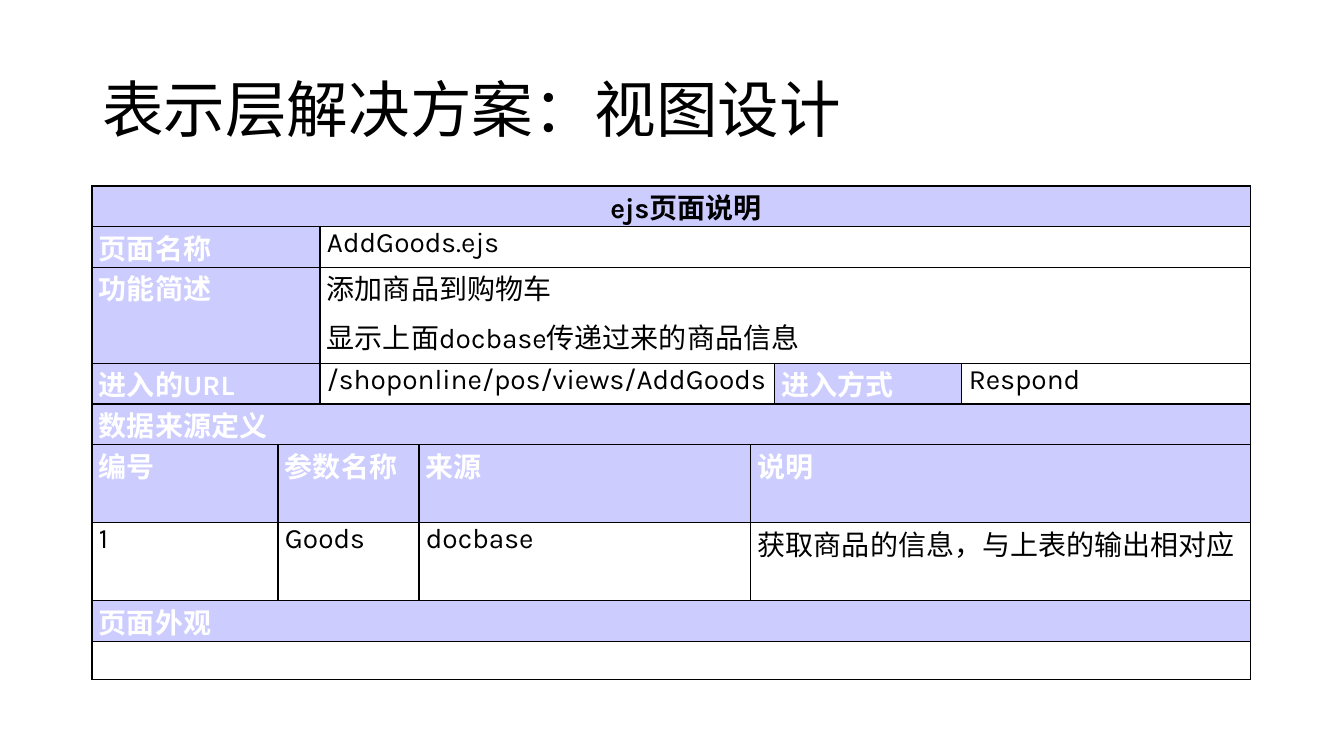
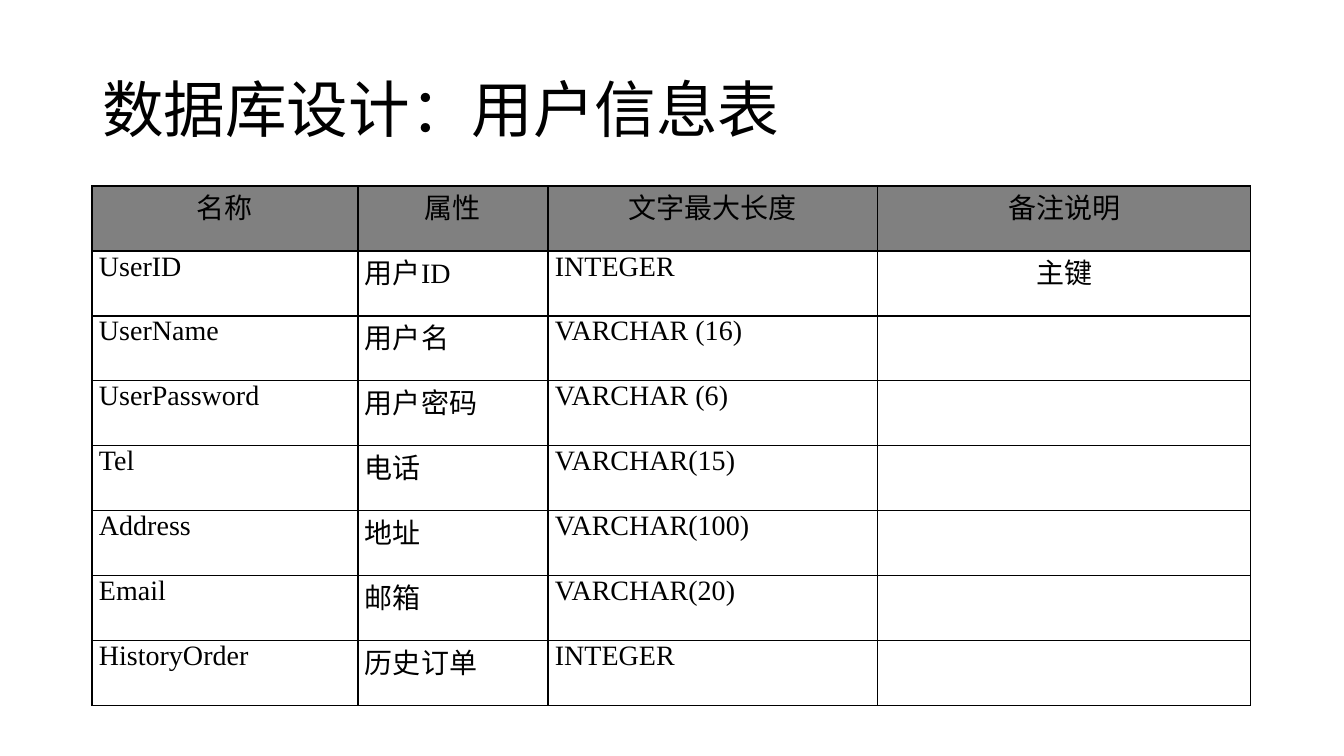
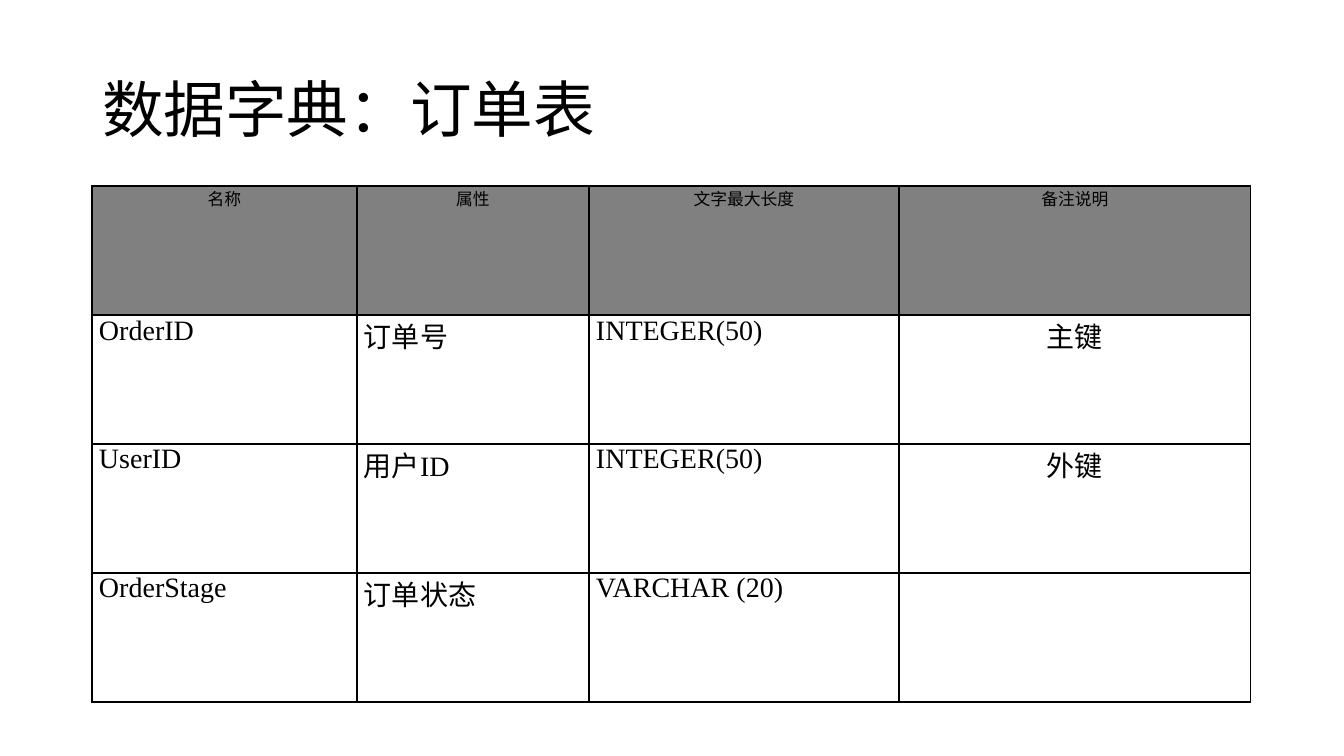
import dataclasses

import lxml.etree
import pptx
import pptx.dml.color
import pptx.enum.text
import pptx.oxml.ns
import pptx.util

# Shared measures and colours
EMU_PER_PIXEL = 914400 / 100.8
PAGE_WIDTH, PAGE_HEIGHT = 1344, 756
LEFT, TITLE_TOP, TABLE_TOP = 92, 40, 186
CONTENT_WIDTH, TITLE_HEIGHT = 1159, 146
CELL_INSET = 7
BLACK, WHITE, LAVENDER, GRAY = "000000", "FFFFFF", "CCCCFF", "808080"
ALIGN = pptx.enum.text.PP_ALIGN


@dataclasses.dataclass(frozen=True)
class CellStyle:
    font: str
    size: int = 20
    color: str = BLACK
    bold: bool = False
    fill: str | None = None
    align: ALIGN = ALIGN.LEFT
    spacing: int = 0
    indent: int = 0


# Styles of the page description
CAPTION = CellStyle("Karla", bold=True, fill=LAVENDER, align=ALIGN.CENTER,
                    spacing=3, indent=29)
LABEL = CellStyle("Karla", color=WHITE, bold=True, fill=LAVENDER, spacing=3)
VALUE = CellStyle("Karla", spacing=3)

# Styles of the field lists
FIELD = CellStyle("Times New Roman", fill=WHITE, align=ALIGN.JUSTIFY)
REMARK = dataclasses.replace(FIELD, align=ALIGN.CENTER)
HEADING = dataclasses.replace(REMARK, fill=GRAY)
SMALL_HEADING = dataclasses.replace(HEADING, size=12)

FIELD_HEADINGS = ["名称", "属性", "文字最大长度", "备注说明"]

# Each row lists (columns spanned, text, style)
PAGE_ROWS = [
    [(7, "ejs页面说明", CAPTION)],
    [(2, "页面名称", LABEL), (5, "AddGoods.ejs", VALUE)],
    [(2, "功能简述", LABEL),
     (5, "添加商品到购物车\n显示上面docbase传递过来的商品信息", VALUE)],
    [(2, "进入的URL", LABEL), (3, "/shoponline/pos/views/AddGoods", VALUE),
     (1, "进入方式", LABEL), (1, "Respond", VALUE)],
    [(7, "数据来源定义", LABEL)],
    [(1, "编号", LABEL), (2, "参数名称", LABEL), (1, "来源", LABEL),
     (3, "说明", LABEL)],
    [(1, "1", VALUE), (2, "Goods", VALUE), (1, "docbase", VALUE),
     (3, "获取商品的信息，与上表的输出相对应", VALUE)],
    [(7, "页面外观", LABEL)],
    [(7, "", VALUE)],
]

USER_FIELDS = [
    ["UserID", "用户ID", "INTEGER", "主键"],
    ["UserName", "用户名", "VARCHAR (16)", ""],
    ["UserPassword", "用户密码", "VARCHAR (6)", ""],
    ["Tel", "电话", "VARCHAR(15)", ""],
    ["Address", "地址", "VARCHAR(100)", ""],
    ["Email", "邮箱", "VARCHAR(20)", ""],
    ["HistoryOrder", "历史订单", "INTEGER", ""],
]

ORDER_FIELDS = [
    ["OrderID", "订单号", "INTEGER(50)", "主键"],
    ["UserID", "用户ID", "INTEGER(50)", "外键"],
    ["OrderStage", "订单状态", "VARCHAR (20)", ""],
]


def px(pixels):
    return pptx.util.Emu(round(pixels * EMU_PER_PIXEL))


def rgb(color):
    return pptx.dml.color.RGBColor.from_string(color)


def format_font(font, name, size, color, bold=False):
    font.name = name
    font.size = pptx.util.Pt(size)
    font.color.rgb = rgb(color)
    font.bold = bold


def add_page(deck, title):
    """Add a page with the shared title style."""
    page = deck.slides.add_slide(deck.slide_layouts[5])
    box = page.shapes.title
    box.left, box.top = px(LEFT), px(TITLE_TOP)
    box.width, box.height = px(CONTENT_WIDTH), px(TITLE_HEIGHT)
    frame = box.text_frame
    frame.text = title
    frame.auto_size = pptx.enum.text.MSO_AUTO_SIZE.NONE
    frame.vertical_anchor = pptx.enum.text.MSO_ANCHOR.MIDDLE
    para = frame.paragraphs[0]
    para.alignment = ALIGN.LEFT
    para.line_spacing = 0.9
    format_font(para.runs[0].font, "Calibri", 44, BLACK)
    return page


def add_borders(cell):
    properties = cell._tc.get_or_add_tcPr()
    qn = pptx.oxml.ns.qn
    for side in ("a:lnL", "a:lnR", "a:lnT", "a:lnB"):
        line = lxml.etree.SubElement(properties, qn(side), w="12700")
        fill = lxml.etree.SubElement(line, qn("a:solidFill"))
        lxml.etree.SubElement(fill, qn("a:srgbClr"), val=BLACK)


def fill_cell(cell, text, style):
    cell.margin_left = cell.margin_right = px(CELL_INSET)
    cell.margin_top = cell.margin_bottom = 0
    cell.text_frame.text = text
    for para in cell.text_frame.paragraphs:
        para.alignment = style.align
        para.space_before = para.space_after = pptx.util.Pt(style.spacing)
        if style.indent:
            para._p.get_or_add_pPr().set("indent", str(px(style.indent)))
        for span in para.runs:
            format_font(span.font, style.font, style.size, style.color,
                        style.bold)
    if style.fill:
        cell.fill.solid()
        cell.fill.fore_color.rgb = rgb(style.fill)
    else:
        cell.fill.background()


def add_grid(page, widths, heights, rows):
    """Add a bordered table whose cells may span several columns."""
    frame = page.shapes.add_table(
        len(heights), len(widths), px(LEFT), px(TABLE_TOP),
        px(sum(widths)), px(sum(heights)))
    table = frame.table
    table.first_row = table.horz_banding = False
    for column, width in zip(table.columns, widths):
        column.width = px(width)
    for row, height in zip(table.rows, heights):
        row.height = px(height)
    for cell in table.iter_cells():
        add_borders(cell)
    for row_index, row in enumerate(rows):
        start = 0
        for count, text, style in row:
            cell = table.cell(row_index, start)
            if count > 1:
                cell.merge(table.cell(row_index, start + count - 1))
            fill_cell(cell, text, style)
            start += count


def add_field_list(page, widths, row_height, heading_style, fields):
    """Add a list of database fields below its headings."""
    rows = [[(1, text, heading_style) for text in FIELD_HEADINGS]]
    styles = [FIELD, FIELD, FIELD, REMARK]
    for field in fields:
        rows.append([(1, text, style) for text, style in zip(field, styles)])
    add_grid(page, widths, [row_height] * len(rows), rows)


def main():
    deck = pptx.Presentation()
    deck.slide_width, deck.slide_height = px(PAGE_WIDTH), px(PAGE_HEIGHT)

    # View design
    page = add_page(deck, "表示层解决方案：视图设计")
    add_grid(page, [186, 42, 99, 332, 24, 187, 289],
             [38, 38, 96, 38, 38, 78, 78, 38, 38], PAGE_ROWS)

    # User fields
    page = add_page(deck, "数据库设计：用户信息表")
    add_field_list(page, [266, 190, 330, 373], 65, HEADING, USER_FIELDS)

    # Order fields
    page = add_page(deck, "数据字典：订单表")
    add_field_list(page, [265, 232, 310, 352], 129, SMALL_HEADING,
                   ORDER_FIELDS)

    deck.save("out.pptx")


main()
